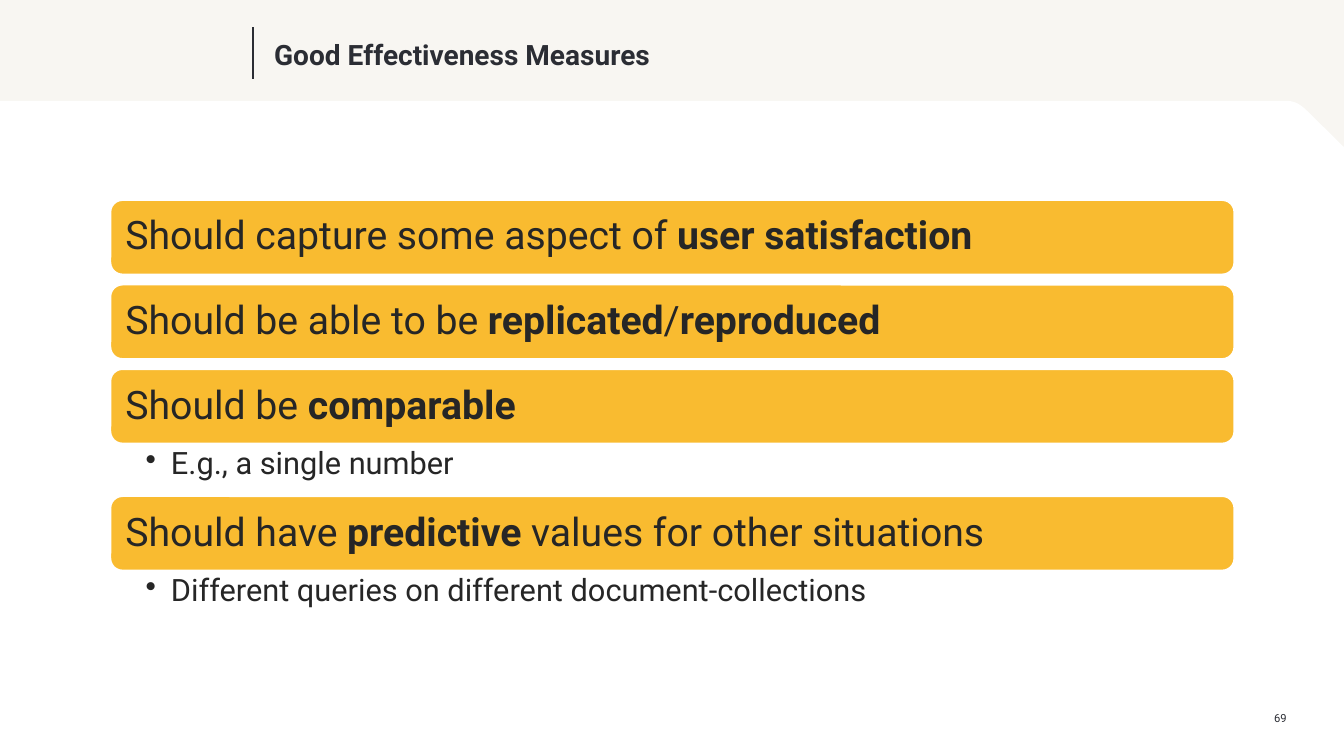
from dataclasses import dataclass
from typing import Any

from lxml.etree import SubElement
from pptx import Presentation
from pptx.dml.color import RGBColor
from pptx.enum.shapes import MSO_CONNECTOR, MSO_SHAPE
from pptx.enum.text import MSO_ANCHOR, PP_ALIGN
from pptx.oxml.ns import qn
from pptx.util import Cm, Pt

COLORS = {
    "background": "F8F6F2",
    "panel": "FFFFFF",
    "bar": "F9BB30",
    "heading": "2B2D34",
    "body": "262626",
}
FONT = "Roboto"
SLIDE_WIDTH, SLIDE_HEIGHT = 33.87, 19.05

# Measure list layout, in centimetres
LIST_LEFT, LIST_TOP, LIST_WIDTH = 2.77, 5.03, 28.35
BAR_HEIGHT, BAR_GAP, DETAIL_HEIGHT = 1.9, 0.23, 1.3

Point = tuple[float, float]


@dataclass(frozen=True)
class Span:
    text: str
    bold: bool = False


@dataclass(frozen=True)
class Measure:
    spans: tuple[Span, ...]
    detail: str = ""


MEASURES = (
    Measure((Span("Should capture some aspect of "), Span("user satisfaction", True))),
    Measure((Span("Should be able to be "), Span("replicated", True),
             Span("/"), Span("reproduced", True))),
    Measure((Span("Should be "), Span("comparable", True)), "E.g., a single number"),
    Measure((Span("Should have "), Span("predictive", True),
             Span(" values for other situations")),
            "Different queries on different document-collections"),
)


def color(name: str) -> RGBColor:
    return RGBColor.from_string(COLORS[name])


def apply_format(target: Any, values: dict[str, Any]) -> None:
    for name, value in values.items():
        setattr(target, name, value)


def write_text(shape: Any, spans: tuple[Span, ...], size: int, color_name: str,
               margins: tuple[float, ...] = (0, 0, 0, 0),
               anchor: MSO_ANCHOR = MSO_ANCHOR.TOP,
               paragraph_format: dict[str, Any] | None = None) -> Any:
    """Fill a shape with one paragraph; margins are left, top, right, bottom."""
    sides = ("margin_left", "margin_top", "margin_right", "margin_bottom")
    frame_format = {side: Cm(margin) for side, margin in zip(sides, margins)}
    apply_format(shape.text_frame,
                 frame_format | {"word_wrap": True, "vertical_anchor": anchor})
    paragraph = shape.text_frame.paragraphs[0]
    apply_format(paragraph, {"alignment": PP_ALIGN.LEFT} | (paragraph_format or {}))
    for span in spans:
        run = paragraph.add_run()
        run.text = span.text
        apply_format(run.font, {"name": FONT, "size": Pt(size), "bold": span.bold})
        run.font.color.rgb = color(color_name)
    return paragraph


def add_text_box(slide: Any, left: float, top: float, width: float, height: float) -> Any:
    return slide.shapes.add_textbox(Cm(left), Cm(top), Cm(width), Cm(height))


def curve_points(start: Point, first: Point, second: Point, end: Point,
                 steps: int = 8) -> list[Point]:
    """Sample a cubic curve, leaving out its start."""
    points = []
    for step in range(1, steps + 1):
        t = step / steps
        weights = ((1 - t) ** 3, 3 * t * (1 - t) ** 2, 3 * t ** 2 * (1 - t), t ** 3)
        x, y = (sum(weight * value for weight, value in zip(weights, axis))
                for axis in zip(start, first, second, end))
        points.append((x, y))
    return points


def add_panel(slide: Any) -> None:
    corner = (33.05, 2.9)
    outline = [(SLIDE_WIDTH, 3.71), corner,
               *curve_points(corner, (32.77, 2.62), (32.66, 2.54), (32.36, 2.54)),
               (0, 2.54), (0, SLIDE_HEIGHT)]
    builder = slide.shapes.build_freeform(Cm(SLIDE_WIDTH), Cm(SLIDE_HEIGHT))
    builder.add_line_segments([(Cm(x), Cm(y)) for x, y in outline], close=True)
    panel = builder.convert_to_shape()
    panel.shadow.inherit = False
    panel.fill.solid()
    panel.fill.fore_color.rgb = color("panel")
    panel.line.fill.background()


def add_header(slide: Any) -> None:
    rule = slide.shapes.add_connector(
        MSO_CONNECTOR.STRAIGHT, Cm(6.38), Cm(0.69), Cm(6.38), Cm(1.98))
    rule.line.color.rgb = color("heading")
    rule.line.width = Pt(1)
    SubElement(rule._element.spPr, qn("a:effectLst"))
    title = add_text_box(slide, 6.91, 0.61, 26.16, 1.65)
    write_text(title, (Span("Good Effectiveness Measures", True),), 20, "heading",
               anchor=MSO_ANCHOR.MIDDLE, paragraph_format={"line_spacing": Pt(20)})


def add_bar(slide: Any, top: float, spans: tuple[Span, ...]) -> None:
    bar = slide.shapes.add_shape(MSO_SHAPE.ROUNDED_RECTANGLE, Cm(LIST_LEFT), Cm(top),
                                 Cm(LIST_WIDTH), Cm(BAR_HEIGHT))
    bar.shadow.inherit = False
    bar.fill.solid()
    bar.fill.fore_color.rgb = color("bar")
    bar.line.color.rgb = color("panel")
    bar.line.width = Pt(2)
    write_text(bar, spans, 28, "body", (0.3, 0.3, 0.3, 0.3), MSO_ANCHOR.MIDDLE,
               {"line_spacing": 0.9})


def add_detail(slide: Any, top: float, text: str) -> None:
    box = add_text_box(slide, LIST_LEFT, top, LIST_WIDTH, DETAIL_HEIGHT)
    paragraph = write_text(box, (Span(text),), 22, "body", (0.9, 0.1, 0.56, 0.1),
                           paragraph_format={"level": 1, "line_spacing": 0.9})
    properties = paragraph._p.get_or_add_pPr()
    properties.set("marL", str(Cm(0.64)))
    properties.set("indent", str(-Cm(0.64)))
    SubElement(properties, qn("a:buChar"), char="•")


def add_measures(slide: Any) -> None:
    top = LIST_TOP
    for measure in MEASURES:
        add_bar(slide, top, measure.spans)
        top += BAR_HEIGHT
        if measure.detail:
            add_detail(slide, top, measure.detail)
        top += DETAIL_HEIGHT if measure.detail else BAR_GAP


def main() -> None:
    presentation = Presentation()
    presentation.slide_width = Cm(SLIDE_WIDTH)
    presentation.slide_height = Cm(SLIDE_HEIGHT)
    slide = presentation.slides.add_slide(presentation.slide_layouts[6])

    # Background and white panel
    slide.background.fill.solid()
    slide.background.fill.fore_color.rgb = color("background")
    add_panel(slide)

    # Slide number
    number = add_text_box(slide, 31.72, 17.93, 0.71, 0.33)
    write_text(number, (Span("69"),), 8, "heading",
               paragraph_format={"alignment": PP_ALIGN.RIGHT})

    # Title and content
    add_header(slide)
    add_measures(slide)
    presentation.save("out.pptx")


if __name__ == "__main__":
    main()
